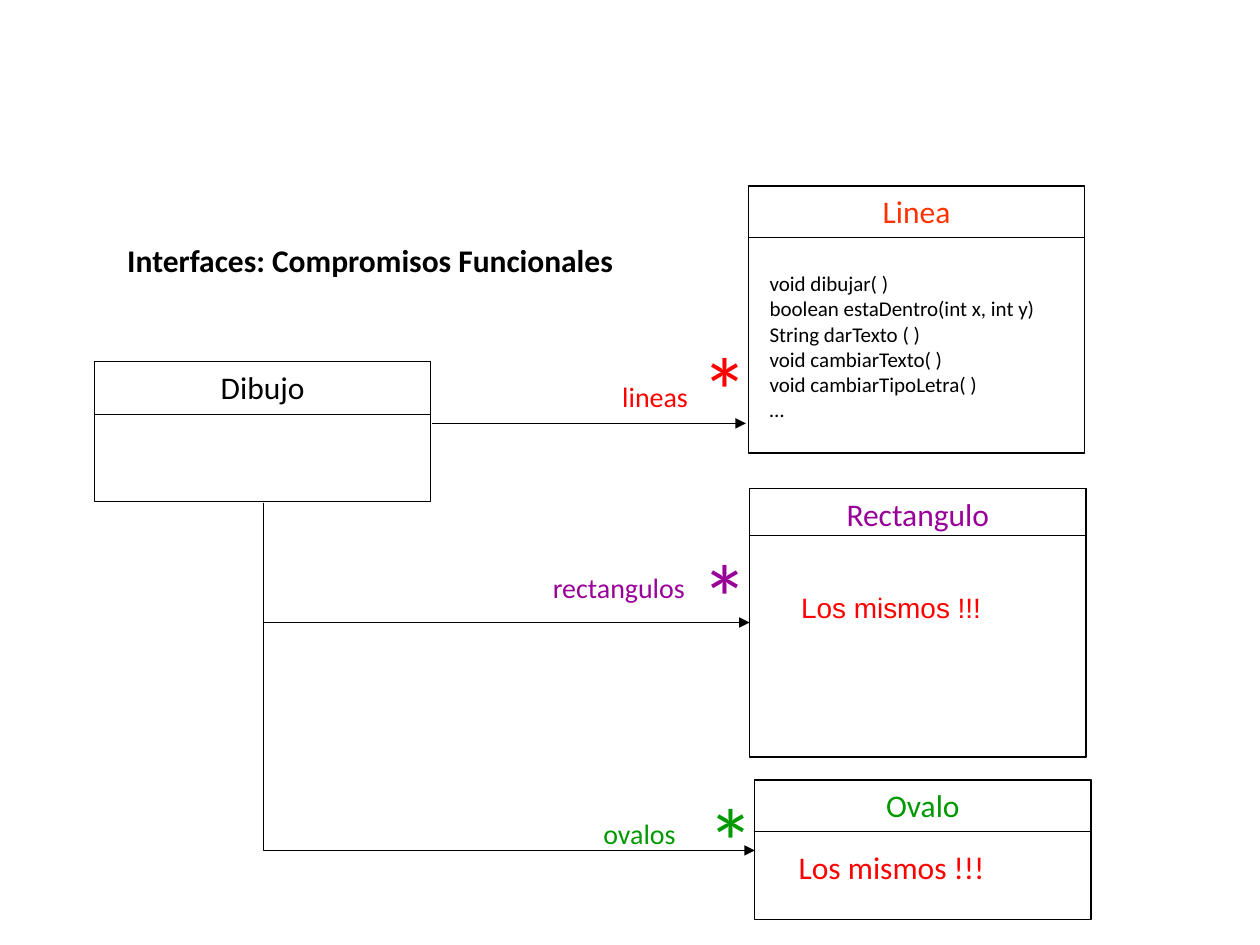
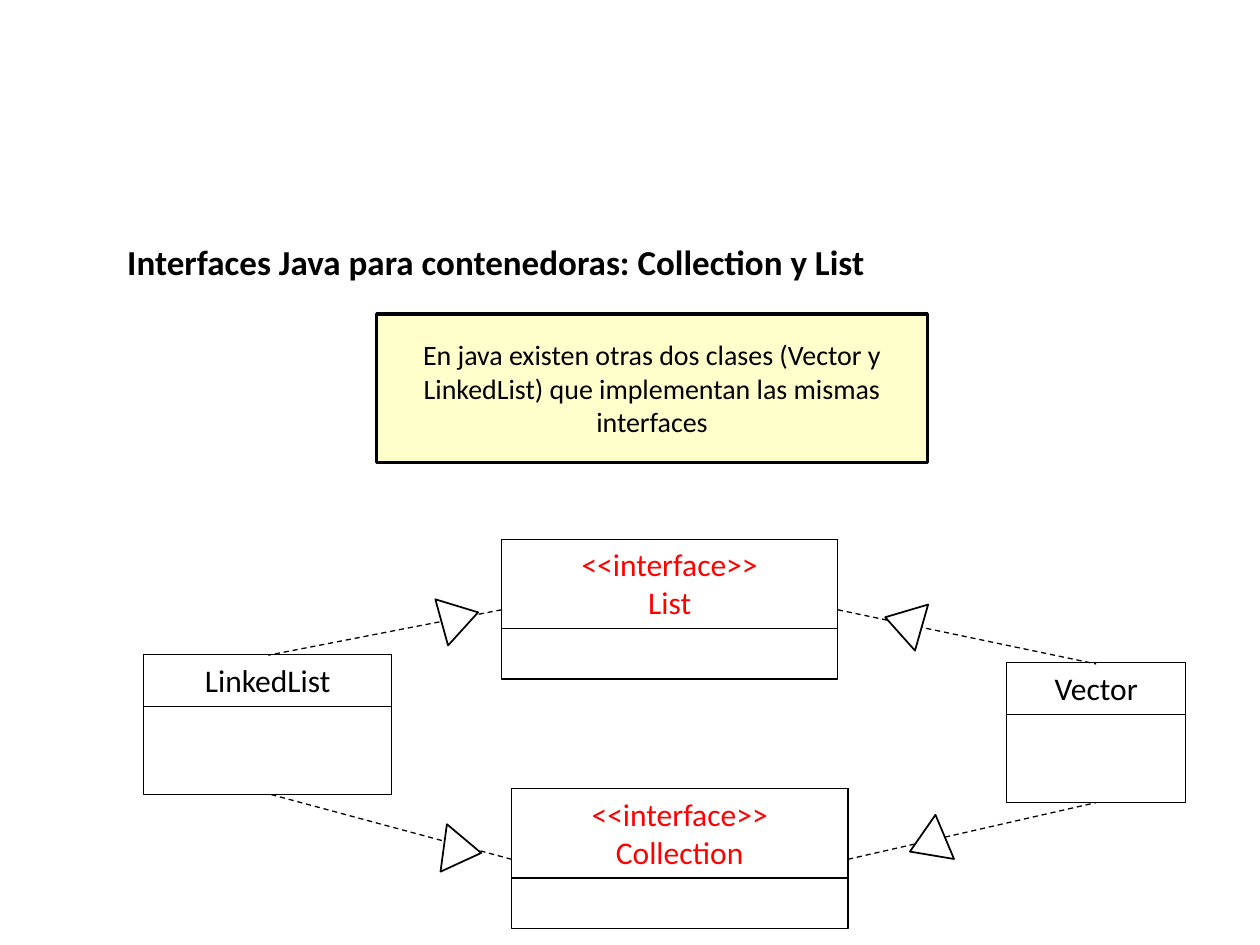
from lxml.etree import SubElement
from pptx import Presentation
from pptx.dml.color import RGBColor
from pptx.enum.dml import MSO_LINE
from pptx.enum.shapes import MSO_CONNECTOR, MSO_SHAPE
from pptx.enum.text import MSO_ANCHOR, MSO_AUTO_SIZE, PP_ALIGN
from pptx.oxml.ns import qn
from pptx.util import Inches, Pt

COLUMNS, ROWS = 100, 75
CELL = Inches(0.1)
FONT = "Calibri"
BLACK, WHITE, NOTE = "000000", "FFFFFF", "FFFFCC"
RED, ORANGE, PURPLE, GREEN = "FF0000", "FF3300", "990099", "009900"
THIN, MEDIUM, THICK = 0.75, 1, 2
TRIANGLE_WIDTH, TRIANGLE_HEIGHT = 3.8, 3


def cells(*counts):
    return [round(count * CELL) for count in counts]


def paint(color_format, color):
    color_format.rgb = RGBColor.from_string(color)


def write(frame, lines, size, color, align=PP_ALIGN.LEFT, bold=False,
          font=FONT, anchor=MSO_ANCHOR.TOP, wrap=True):
    frame.auto_size = MSO_AUTO_SIZE.NONE
    frame.word_wrap = wrap
    frame.vertical_anchor = anchor
    frame.text = "\n".join(lines)
    for para in frame.paragraphs:
        para.alignment = align
        para.font.name = font
        para.font.size = Pt(size)
        para.font.bold = bold
        paint(para.font.color, color)


def add_page(deck, title, size, width):
    page = deck.slides.add_slide(deck.slide_layouts.get_by_name("Title Only"))
    holder = page.shapes.title
    holder.left, holder.top, holder.width, holder.height = cells(9.1, 18.6, width, 4.4)
    write(holder.text_frame, [title], size, BLACK, bold=True)
    return page


def add_box(page, area, fill=None, weight=THIN, kind=MSO_SHAPE.RECTANGLE):
    box = page.shapes.add_shape(kind, *cells(*area))
    box.shadow.inherit = False
    if fill:
        box.fill.solid()
        paint(box.fill.fore_color, fill)
    else:
        box.fill.background()
    paint(box.line.color, BLACK)
    box.line.width = Pt(weight)
    return box


def add_class(page, left, top, width, height, header, name, color=BLACK):
    add_box(page, (left, top, width, height))
    heading = add_box(page, (left, top, width, header))
    write(heading.text_frame, name, 18, color, PP_ALIGN.CENTER)


def add_label(page, area, lines, size, color, font=FONT):
    label = page.shapes.add_textbox(*cells(*area))
    write(label.text_frame, lines, size, color, font=font, wrap=False)


def add_line(page, start, end, kind=MSO_CONNECTOR.STRAIGHT):
    line = page.shapes.add_connector(kind, *cells(*start, *end))
    paint(line.line.color, BLACK)
    line.line.width = Pt(THIN)
    SubElement(line.element.spPr, qn("a:effectLst"))
    return line


def add_arrowhead(line):
    SubElement(line.line._get_or_add_ln(), qn("a:tailEnd"), type="triangle")


def add_corner_arrow(page, start, end):
    arrow = add_line(page, start, end, MSO_CONNECTOR.ELBOW)
    across, down = end[0] - start[0], end[1] - start[1]
    middle_x, middle_y = (start[0] + end[0]) / 2, (start[1] + end[1]) / 2
    arrow.left, arrow.top, arrow.width, arrow.height = cells(
        middle_x - down / 2, middle_y - across / 2, down, across)
    properties = arrow.element.spPr
    properties.find(qn("a:prstGeom")).set("prst", "bentConnector2")
    frame = properties.find(qn("a:xfrm"))
    frame.set("rot", str(270 * 60000))
    frame.set("flipH", "1")
    add_arrowhead(arrow)


def add_realization(page, start, end, triangle_corner, rotation):
    line = add_line(page, start, end)
    line.line.dash_style = MSO_LINE.DASH
    triangle = add_box(page, (*triangle_corner, TRIANGLE_WIDTH, TRIANGLE_HEIGHT),
                       WHITE, MEDIUM, MSO_SHAPE.ISOSCELES_TRIANGLE)
    triangle.rotation = rotation


def build_drawing_page(deck):
    page = add_page(deck, "Interfaces: Compromisos Funcionales", 18, 54.3)
    add_class(page, 7.5, 28.7, 26.7, 11.1, 4.2, ["Dibujo"])
    add_class(page, 59.4, 14.75, 26.7, 21.2, 4.1, ["Linea"], ORANGE)
    add_class(page, 59.5, 38.8, 26.7, 21.3, 3.7, ["Rectangulo"], PURPLE)
    add_class(page, 59.9, 61.9, 26.7, 11.1, 4.1, ["Ovalo"], GREEN)

    add_arrowhead(add_line(page, (34.3, 33.6), (59.2, 33.6)))
    for end in ((59.5, 49.4), (59.9, 67.5)):
        add_corner_arrow(page, (20.9, 39.9), end)

    for role, left, top, width, star_left, star_top, color in (
            ("lineas", 48.4, 29.6, 7.3, 54.7, 25.8, RED),
            ("rectangulos", 42.9, 44.8, 12.6, 54.7, 42.2, PURPLE),
            ("ovalos", 46.9, 64.3, 7.8, 55.2, 61.6, GREEN)):
        add_label(page, (left, top, width, 3.7), [role], 16, color)
        add_label(page, (star_left, star_top, 5.8, 10.1), ["*"], 54, color)

    methods = ["void dibujar( )", "boolean estaDentro(int x, int y)",
               "String darTexto ( )", "void cambiarTexto( )",
               "void cambiarTipoLetra( )", "…"]
    add_label(page, (60.1, 21, 23.3, 13.1), methods, 12, BLACK)
    same = ["Los mismos !!!"]
    add_label(page, (62.6, 46.4, 16.5, 3.7), same, 16, RED, "Arial")
    add_label(page, (62.4, 66.8, 16.9, 4), same, 18, RED)


def build_collections_page(deck):
    page = add_page(deck, "Interfaces Java para contenedoras: Collection y List", 20, 84)
    note = add_box(page, (29.9, 24.9, 43.7, 11.8), NOTE, THICK)
    write(note.text_frame,
          ["En java existen otras dos clases (Vector y LinkedList) "
           "que implementan las mismas interfaces"],
          16, BLACK, PP_ALIGN.CENTER, anchor=MSO_ANCHOR.MIDDLE)

    add_class(page, 11.4, 51.95, 19.7, 11.1, 4.1, ["LinkedList"])
    add_class(page, 79.9, 52.6, 14.2, 11.1, 4.1, ["Vector"])
    for name, left, top in (("List", 39.8, 42.8), ("Collection", 40.6, 62.6)):
        add_class(page, left, top, 26.7, 11.1, 7.1, ["<<interface>>", name], RED)

    add_realization(page, (39.8, 48.4), (21.3, 52), (34.6, 47.5), 74.6)
    add_realization(page, (40.6, 68.2), (21.3, 63), (34.8, 66), 97.7)
    add_realization(page, (66.5, 48.4), (87, 52.7), (69.8, 47.9), 285.9)
    add_realization(page, (67.3, 68.2), (87, 63.7), (71.7, 65.5), 247.2)


def main():
    deck = Presentation()
    deck.slide_width, deck.slide_height = cells(COLUMNS, ROWS)
    build_drawing_page(deck)
    build_collections_page(deck)
    deck.save("out.pptx")


if __name__ == "__main__":
    main()
